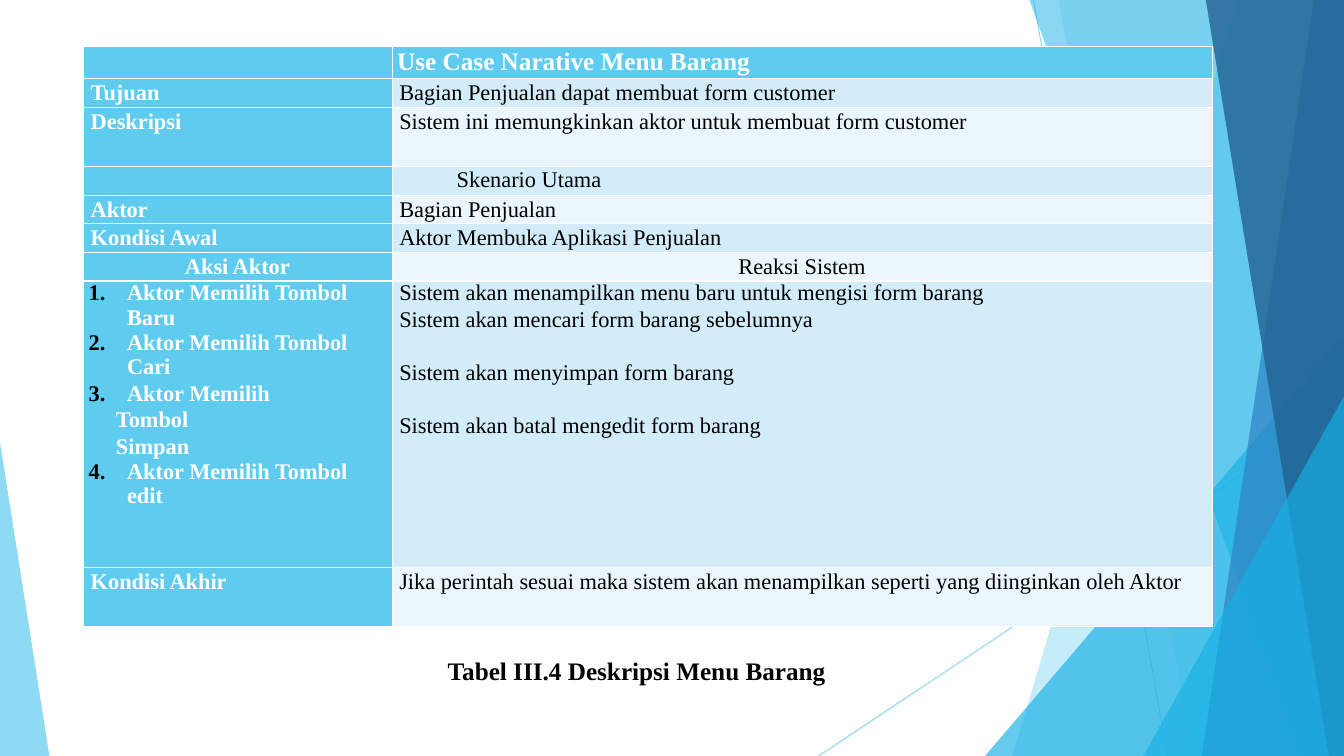
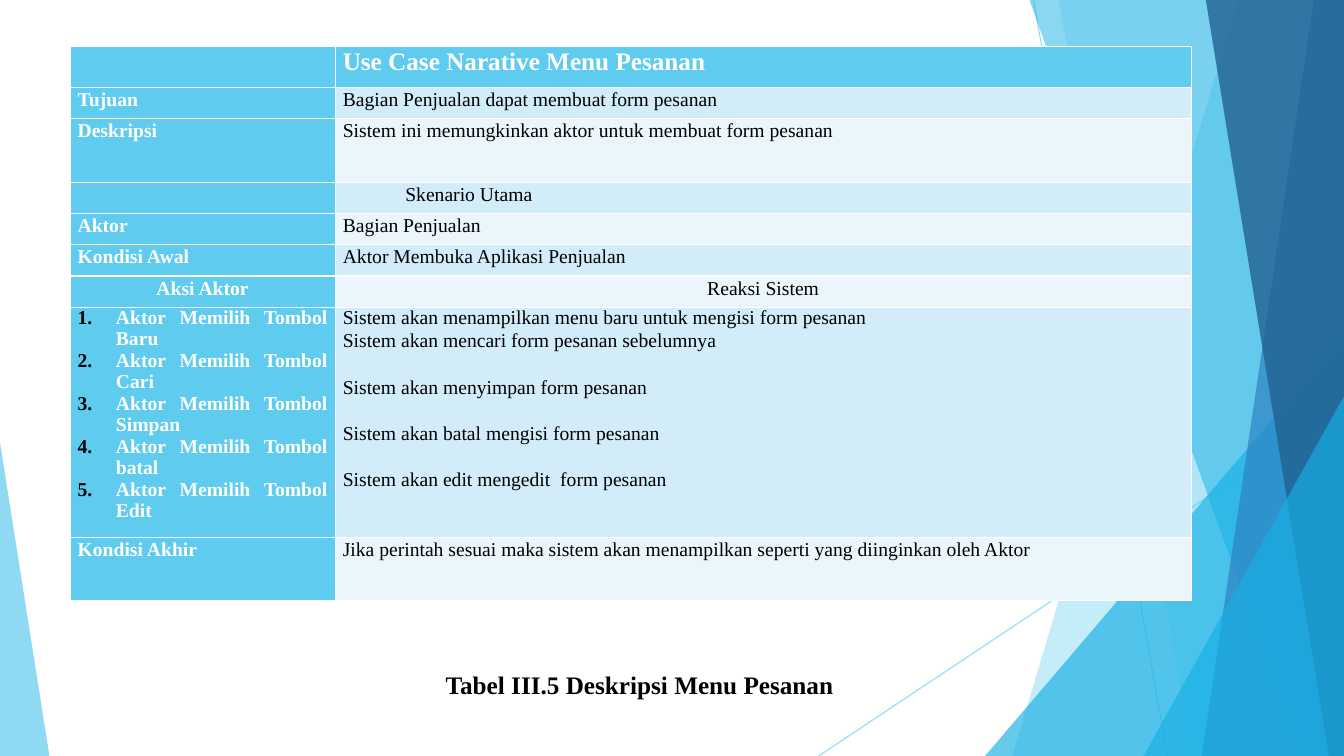
import dataclasses

import lxml.etree
import pptx
import pptx.dml.color
import pptx.enum.shapes
import pptx.enum.text
import pptx.oxml.ns
import pptx.util

Inches, Pt = pptx.util.Inches, pptx.util.Pt
RGB = pptx.dml.color.RGBColor.from_string
ALIGN = pptx.enum.text.PP_ALIGN
qn = pptx.oxml.ns.qn


@dataclasses.dataclass(frozen=True)
class Theme:
    font: str = "Times New Roman"
    heading: int = 18
    sky: str = "5FCBEF"
    cyan: str = "17B0E4"
    blue: str = "2E83C3"
    navy: str = "226292"
    white: str = "FFFFFF"
    black: str = "000000"
    bands: tuple = ("EAF6FC", "D2ECF9")


T = Theme()


def set_alpha(sp, percent):
    """Make the shape's only solid colour partly opaque."""
    color = sp.element.spPr.find(".//" + qn("a:srgbClr"))
    lxml.etree.SubElement(color, qn("a:alpha"), val=str(percent * 1000))


def write_paragraph(p, text, size, color, bold, line=1.07, left=0, hanging=0,
                    align=None, before=0, number=0):
    """Write one formatted paragraph; number is its place in a numbered list."""
    pPr = p._p.get_or_add_pPr()
    pPr.set("marL", str(Inches(left)))
    pPr.set("indent", str(-Inches(hanging)))
    fmt = {"line_spacing": line, "alignment": align,
           "space_before": Pt(before), "space_after": Pt(0)}
    for name, value in fmt.items():
        setattr(p, name, value)
    if number:
        bu = lxml.etree.SubElement(pPr, qn("a:buClr"))
        lxml.etree.SubElement(bu, qn("a:srgbClr"), val=T.black)
        auto = lxml.etree.SubElement(pPr, qn("a:buAutoNum"), type="arabicPeriod")
        if number > 1:
            auto.set("startAt", str(number))
    if not text:
        lxml.etree.SubElement(p._p, qn("a:endParaRPr"), sz=str(size * 100))
        return
    r = p.add_run()
    r.text = text
    for name, value in {"name": T.font, "size": Pt(size), "bold": bold}.items():
        setattr(r.font, name, value)
    r.font.color.rgb = RGB(color)


# Paragraph formats of the action list
ITEM = {"line": 0.99, "left": 0.38, "hanging": 0.38}
FIRST = ITEM | {"number": 1}
JUST = ITEM | {"align": ALIGN.JUSTIFY}
LOOSE = FIRST | {"line": 1.07, "number": 1}
TAIL = {"left": 0.27}

SLIDES = [
    {
        "menu": "Barang", "form": "customer", "size": 16,
        "at": (0.83, 0.46), "cols": (3.06, 8.14), "inset": (0.05, 0.06),
        "indent": 0.02, "scenario": 0.59,
        "rows": (0.32, 0.29, 0.58, 0.29, 0.28, 0.29, 0.28, 2.84, 0.59),
        "actions": [
            ("Aktor Memilih Tombol Baru", FIRST),
            ("Aktor Memilih Tombol Cari", FIRST),
            ("Aktor Memilih", LOOSE),
            ("Tombol", TAIL),
            ("Simpan", TAIL),
            ("Aktor Memilih Tombol edit", ITEM | {"number": 4}),
        ],
        "reactions": [
            "Sistem akan menampilkan menu baru untuk mengisi form barang",
            "Sistem akan mencari form barang sebelumnya",
            "Sistem akan menyimpan form barang",
            "Sistem akan batal mengedit form barang",
        ],
        "caption": ("Tabel III.4 Deskripsi Menu Barang", 4.34, 6.45),
    },
    {
        "menu": "Pesanan", "form": "pesanan", "size": 14,
        "at": (0.7, 0.46), "cols": (2.63, 8.49), "inset": (0.07, 0.08),
        "indent": 0, "scenario": 0.62,
        "rows": (0.41, 0.31, 0.63, 0.31, 0.31, 0.31, 0.31, 2.28, 0.63),
        "actions": [(f"Aktor Memilih Tombol {button}", JUST | {"number": 1})
                    for button in ("Baru", "Cari", "Simpan", "batal", "Edit")],
        "reactions": [
            "Sistem akan menampilkan menu baru untuk mengisi form pesanan",
            "Sistem akan mencari form pesanan sebelumnya",
            "Sistem akan menyimpan form pesanan",
            "Sistem akan batal mengisi form pesanan",
            "Sistem akan edit mengedit  form pesanan",
        ],
        "caption": ("Tabel III.5 Deskripsi Menu Pesanan", 4.32, 6.59),
    },
]

# Background facets, back to front: outline points or a triangle's box and apex
FACETS = [
    ("outline", [(12.28, 0), (13.33, 0), (13.33, 7.5), (10.04, 7.5)], T.sky, 36),
    ("outline", [(10.5, 0), (13.33, 0), (13.33, 7.5), (11.83, 7.5)], T.sky, 20),
    ("triangle", (9.77, 3.33, 3.56, 4.17, 1), T.cyan, 66),
    ("outline", [(10.21, 0), (13.33, 0), (13.33, 7.5), (12.91, 7.5)], T.cyan, 50),
    ("outline", [(13.03, 0), (13.33, 0), (13.33, 7.5), (11.92, 7.5)], T.blue, 70),
    ("outline", [(11.96, 0), (13.33, 0), (13.33, 7.5), (13.18, 7.5)], T.navy, 80),
    ("triangle", (11.34, 3.93, 1.99, 3.57, 1), T.cyan, 66),
    ("triangle", (0, 4.39, 0.49, 3.11, 0), T.sky, 70),
]
RAYS = [(10.25, 0, 11.58, 7.5), (13.33, 4.03, 8.12, 7.5)]

prs = pptx.Presentation()
prs.slide_width, prs.slide_height = Inches(13.33), Inches(7.5)
layout = prs.slide_layouts.get_by_name("Title Only")
for ph in list(layout.placeholders)[1:]:
    ph.element.getparent().remove(ph.element)
slides = [prs.slides.add_slide(layout) for _ in SLIDES]

# Shared background: drawn once, then moved to the layout
shapes = slides[0].shapes
decor = []
for ray in RAYS:
    line = shapes.add_connector(pptx.enum.shapes.MSO_CONNECTOR.STRAIGHT,
                                *map(Inches, ray))
    line.line.color.rgb = RGB(T.sky)
    line.line.width = Pt(0.75)
    set_alpha(line, 70)
    lxml.etree.SubElement(line.element.spPr, qn("a:effectLst"))
    decor.append(line)
for kind, geometry, color, opacity in FACETS:
    if kind == "outline":
        points = [(Inches(x), Inches(y)) for x, y in geometry]
        builder = shapes.build_freeform(*points[0])
        builder.add_line_segments(points[1:], close=True)
        sp = builder.convert_to_shape()
    else:
        *box, apex = geometry
        sp = shapes.add_shape(pptx.enum.shapes.MSO_SHAPE.ISOSCELES_TRIANGLE,
                              *map(Inches, box))
        sp.adjustments[0] = apex
    sp.shadow.inherit = False
    sp.line.fill.background()
    sp.fill.solid()
    sp.fill.fore_color.rgb = RGB(color)
    set_alpha(sp, opacity)
    decor.append(sp)
for sp in decor:
    layout.shapes.element.append(sp.element)

for s, spec in zip(slides, SLIDES):
    # Table contents: each cell is a list of (text, format) paragraphs
    size = spec["size"]
    body = {"left": spec["indent"]}
    center = {"align": ALIGN.CENTER}
    reactions = [(text, body | {"line": 1.07 if i else 0.99,
                                "before": 1.18 * size if i > 1 else 0})
                 for i, text in enumerate(spec["reactions"])]
    rows = [
        ([("", {})], [(f"Use Case Narative Menu {spec['menu']}", {})]),
        ([("Tujuan", body)],
         [(f"Bagian Penjualan dapat membuat form {spec['form']}", body)]),
        ([("Deskripsi", body)],
         [(f"Sistem ini memungkinkan aktor untuk membuat form {spec['form']}", body)]),
        ([("", {})], [("Skenario Utama", {"left": spec["scenario"]})]),
        ([("Aktor", body)], [("Bagian Penjualan", body)]),
        ([("Kondisi Awal", body)], [("Aktor Membuka Aplikasi Penjualan", body)]),
        ([("Aksi Aktor", center)], [("Reaksi Sistem", center)]),
        (spec["actions"], reactions),
        ([("Kondisi Akhir", body)],
         [("Jika perintah sesuai maka sistem akan menampilkan seperti yang "
           "diinginkan oleh Aktor", body)]),
    ]

    # Table grid
    frame = s.shapes.add_table(len(rows), 2, *map(Inches, spec["at"]),
                               Inches(sum(spec["cols"])), Inches(sum(spec["rows"])))
    table = frame.table
    for column, width in zip(table.columns, spec["cols"]):
        column.width = Inches(width)
    for row, height in zip(table.rows, spec["rows"]):
        row.height = Inches(height)

    # Table cells
    left, right = map(Inches, spec["inset"])
    margins = {"margin_left": left, "margin_right": right,
               "margin_top": 0, "margin_bottom": 0}
    for i, row in enumerate(rows):
        for j, paragraphs in enumerate(row):
            cell = table.cell(i, j)
            for name, value in margins.items():
                setattr(cell, name, value)
            label = i == 0 or j == 0
            cell.fill.solid()
            cell.fill.fore_color.rgb = RGB(T.sky if label else T.bands[i % 2])
            tf = cell.text_frame
            for k, (text, fmt) in enumerate(paragraphs):
                p = tf.add_paragraph() if k else tf.paragraphs[0]
                write_paragraph(p, text, size if i else T.heading,
                                T.white if label else T.black, label, **fmt)

    # Caption
    text, x, y = spec["caption"]
    title = s.shapes.title
    place = {"left": x, "top": y, "width": 4.24, "height": 0.4}
    for name, value in place.items():
        setattr(title, name, Inches(value))
    tf = title.text_frame
    tf.word_wrap = True
    tf.auto_size = pptx.enum.text.MSO_AUTO_SIZE.NONE
    write_paragraph(tf.paragraphs[0], text, T.heading, T.black, True,
                    line=1, align=ALIGN.LEFT)

prs.save("out.pptx")
